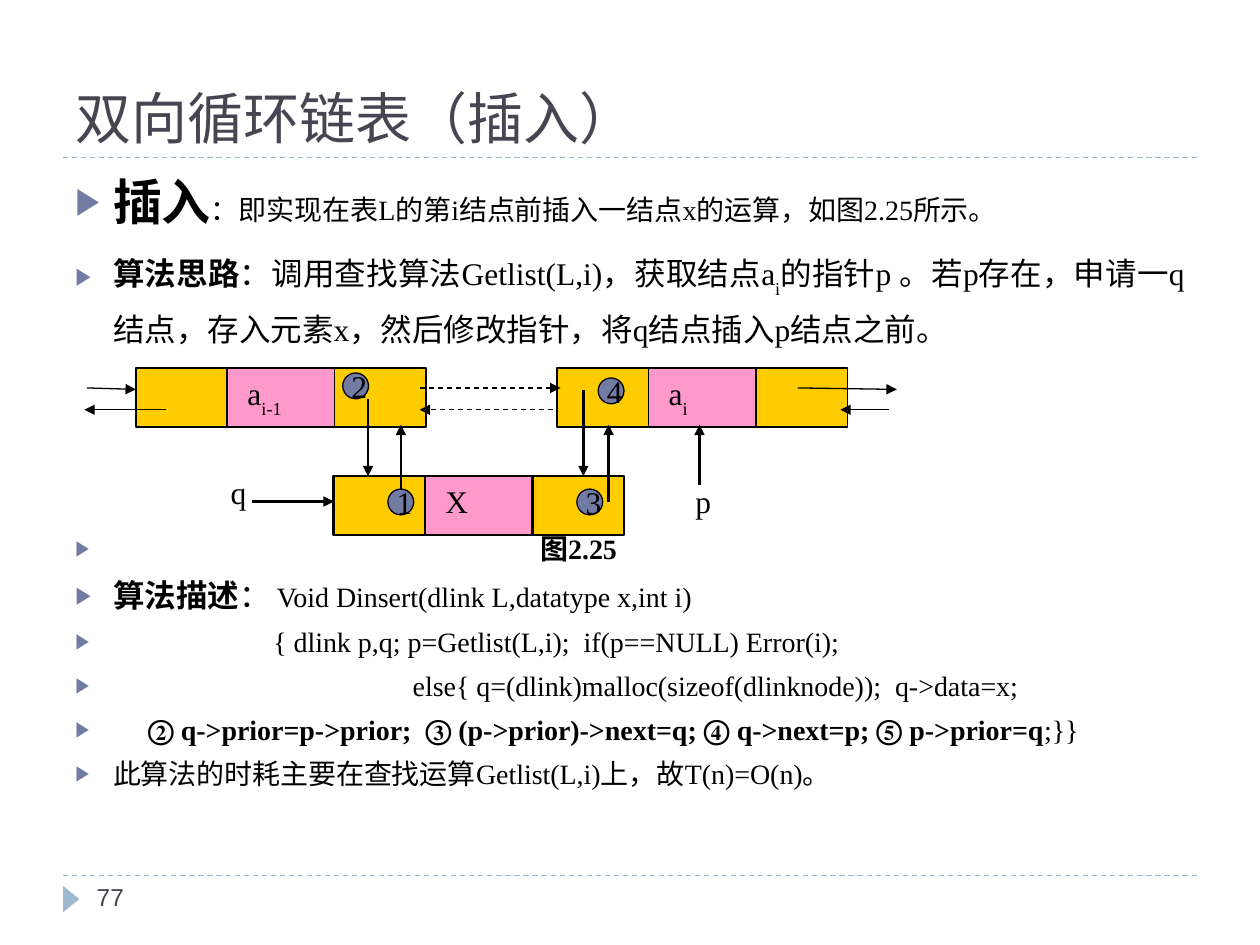
from dataclasses import dataclass

import pptx
import pptx.dml.color
import pptx.enum.dml
import pptx.enum.shapes
import pptx.enum.text
import pptx.oxml
import pptx.oxml.ns
import pptx.util

Cm, Pt = pptx.util.Cm, pptx.util.Pt
Shape = pptx.enum.shapes.MSO_SHAPE
Align = pptx.enum.text.PP_ALIGN
Anchor = pptx.enum.text.MSO_ANCHOR


@dataclass(frozen=True)
class Theme:
    ink: str = "000000"
    title: str = "464653"
    rule: str = "9FB8CD"
    accent: str = "727CA3"
    pointer: str = "FFCC00"
    data: str = "FF99CC"
    serif: str = "Times New Roman"
    sans: str = "Arial"
    title_size: int = 32
    lead_size: int = 28
    label_size: int = 18
    text_size: int = 16
    page_size: int = 14


@dataclass(frozen=True)
class Span:
    text: str
    size: int = 16
    bold: bool = False
    subscript: bool = False


@dataclass(frozen=True)
class Item:
    spans: tuple
    indent: float = 0.76
    spacing: float = 1.0
    justify: bool = True


@dataclass(frozen=True)
class Node:
    left: float
    top: float
    label: str
    index: str = ""
    weight: float = 0.75


@dataclass(frozen=True)
class Arrow:
    start: tuple
    end: tuple
    weight: float = 0.75
    dashed: bool = False


@dataclass(frozen=True)
class Step:
    left: float
    top: float
    number: str


THEME = Theme()
CELL_HEIGHT = 1.19
STEP_SIZE = 0.52

UPPER_ITEMS = (
    Item((Span("插入", THEME.lead_size, True),
          Span("：即实现在表L的第i结点前插入一结点x的运算，如图2.25所示。"))),
    Item((Span("算法思路", THEME.label_size, True),
          Span("：调用查找算法Getlist(L,i)，获取结点a", THEME.label_size),
          Span("i", THEME.label_size, subscript=True),
          Span("的指针p 。若p存在，申请一q结点，存入元素x，然后修改指针，将q结点插入p结点之前。",
               THEME.label_size)), spacing=1.3),
)
LOWER_ITEMS = (
    Item((Span("图2.25", bold=True),), indent=9.37, justify=False),
    Item((Span("算法描述", THEME.label_size, True), Span("：", THEME.label_size),
          Span(" Void Dinsert(dlink L,datatype x,int i)"))),
    Item((Span("{ dlink p,q; p=Getlist(L,i);  if(p==NULL) Error(i);"),), indent=3.99),
    Item((Span("else{ q=(dlink)malloc(sizeof(dlinknode));  q->data=x;"),), indent=6.8),
    Item((Span("② q->prior=p->prior;  ③ (p->prior)->next=q; ④ q->next=p; ⑤ p->prior=q",
               bold=True), Span(";}}")), indent=1.46),
    Item((Span("此算法的时耗主要在查找运算Getlist(L,i)上，故T(n)=O(n)。"),), justify=False),
)
NODES = (
    Node(2.74, 7.42, "a", "i-1"),
    Node(11.23, 7.42, "a", "i"),
    Node(6.73, 9.6, "X", weight=1.5),
)
ARROWS = (
    # Links of the existing list
    Arrow((1.75, 7.82), (2.74, 7.85)),
    Arrow((3.35, 8.26), (1.7, 8.26)),
    Arrow((17.93, 8.26), (16.94, 8.26)),
    Arrow((16.08, 7.82), (18.08, 7.85)),
    Arrow((11.15, 8.26), (8.46, 8.26), dashed=True),
    Arrow((8.46, 7.82), (11.3, 7.82), dashed=True),
    # Links made by the insertion
    Arrow((8.08, 10.11), (8.08, 8.56), 1.5),
    Arrow((12.27, 10.11), (12.27, 8.56), 1.5),
    Arrow((5.08, 10.11), (6.73, 10.11), 1.5),
    Arrow((14.1, 9.78), (14.1, 8.56), 1.5),
    Arrow((7.42, 8.05), (7.42, 9.6), 1.5),
    Arrow((11.76, 7.87), (11.76, 9.6), 1.5),
)
STEPS = (Step(12.06, 7.62, "4"), Step(6.91, 7.52, "2"),
         Step(7.82, 9.86, "1"), Step(11.63, 9.86, "3"))


def rgb(value: str) -> pptx.dml.color.RGBColor:
    return pptx.dml.color.RGBColor.from_string(value)


def add_span(para, text: str, *, size: int = THEME.label_size, bold: bool = False,
             subscript: bool = False, font: str = THEME.serif, color: str = THEME.ink) -> None:
    span = para.add_run()
    span.text = text
    span.font.name, span.font.size, span.font.bold = font, Pt(size), bold
    span.font.color.rgb = rgb(color)
    if subscript:
        span._r.get_or_add_rPr().set("baseline", "-30000")


def add_box(page, left: float, top: float, width: float, height: float):
    box = page.shapes.add_textbox(Cm(left), Cm(top), Cm(width), Cm(height))
    box.text_frame.word_wrap = True
    return box.text_frame


def add_shape(page, kind, left: float, top: float, width: float, height: float,
              fill: str, weight: float = 0):
    shape = page.shapes.add_shape(kind, Cm(left), Cm(top), Cm(width), Cm(height))
    shape.shadow.inherit = False
    shape.fill.solid()
    shape.fill.fore_color.rgb = rgb(fill)
    if weight:
        shape.line.color.rgb = rgb(THEME.ink)
        shape.line.width = Pt(weight)
    else:
        shape.line.fill.background()
    return shape


def add_line(page, arrow: Arrow, color: str = THEME.ink, head: bool = True) -> None:
    line = page.shapes.add_connector(pptx.enum.shapes.MSO_CONNECTOR.STRAIGHT,
                                     *map(Cm, arrow.start + arrow.end))
    line.line.color.rgb = rgb(color)
    line.line.width = Pt(arrow.weight)
    if arrow.dashed:
        line.line.dash_style = pptx.enum.dml.MSO_LINE.DASH
    properties = line._element.spPr
    if head:
        tail = pptx.oxml.parse_xml(f'<a:tailEnd {pptx.oxml.ns.nsdecls("a")} type="triangle"/>')
        line.line._get_or_add_ln().append(tail)
    properties.append(pptx.oxml.parse_xml(f'<a:effectLst {pptx.oxml.ns.nsdecls("a")}/>'))


def add_items(page, items: tuple, top: float, height: float) -> None:
    frame = add_box(page, 1.27, top, 22.86, height)
    for number, item in enumerate(items):
        para = frame.add_paragraph() if number else frame.paragraphs[0]
        properties = para._p.get_or_add_pPr()
        properties.set("marL", str(Cm(item.indent)))
        properties.set("indent", str(-Cm(item.indent)))
        for bullet in (f'buClr {{}}><a:srgbClr val="{THEME.accent}"/></a:buClr>',
                       'buSzPct {} val="76000"/>', 'buFont {} typeface="Arial"/>',
                       'buChar {} char="▶"/>'):
            xml = "<a:" + bullet.format(pptx.oxml.ns.nsdecls("a"))
            properties.append(pptx.oxml.parse_xml(xml))
        para.alignment = Align.JUSTIFY if item.justify else Align.LEFT
        para.line_spacing = item.spacing
        para.space_before = Pt(6 if number else 0)
        for span in item.spans:
            add_span(para, span.text, size=span.size, bold=span.bold, subscript=span.subscript)


def add_node(page, node: Node) -> None:
    left = node.left
    for width, fill in ((1.84, THEME.pointer), (2.17, THEME.data), (1.84, THEME.pointer)):
        cell = add_shape(page, Shape.RECTANGLE, left, node.top, width, CELL_HEIGHT, fill, node.weight)
        left += width
        if fill == THEME.data:
            frame = cell.text_frame
            frame.vertical_anchor, frame.margin_left = Anchor.TOP, Cm(0.41)
            para = frame.paragraphs[0]
            para.alignment = Align.LEFT
            add_span(para, node.label)
            if node.index:
                add_span(para, node.index, subscript=True)


def add_step(page, step: Step) -> None:
    disc = add_shape(page, Shape.OVAL, step.left, step.top, STEP_SIZE, STEP_SIZE, THEME.accent, 0.75)
    frame = disc.text_frame
    frame.word_wrap = False
    frame.margin_left, frame.margin_right, frame.margin_top, frame.margin_bottom = Cm(0.1), 0, 0, 0
    frame.vertical_anchor = Anchor.MIDDLE
    frame.paragraphs[0].alignment = Align.LEFT
    add_span(frame.paragraphs[0], step.number)


def main() -> None:
    deck = pptx.Presentation()
    deck.slide_width, deck.slide_height = Cm(25.4), Cm(19.05)
    page = deck.slides.add_slide(deck.slide_layouts[5])

    # Rules and page marker
    for top in (17.65, 3.18):
        add_line(page, Arrow((1.27, top), (24.13, top), dashed=True), THEME.rule, head=False)
    add_shape(page, Shape.ISOSCELES_TRIANGLE, 1.17, 17.96, 0.53, 0.33, THEME.rule).rotation = 90

    # Title
    title = page.shapes.title
    title.left, title.top, title.width, title.height = map(Cm, (1.27, 0.43, 22.86, 2.74))
    frame = title.text_frame
    frame.auto_size = pptx.enum.text.MSO_AUTO_SIZE.NONE
    frame.vertical_anchor = Anchor.BOTTOM
    frame.paragraphs[0].alignment = Align.LEFT
    add_span(frame.paragraphs[0], "双向循环链表（插入）", size=THEME.title_size,
             font=THEME.sans, color=THEME.title)

    # Text above and below the diagram
    add_items(page, UPPER_ITEMS, 3.33, 4)
    add_items(page, LOWER_ITEMS, 10.6, 6.4)

    # Linked-list diagram
    for node in NODES:
        add_node(page, node)
    for arrow in ARROWS:
        add_line(page, arrow)
    for step in STEPS:
        add_step(page, step)
    for left, top, name in ((4.4, 9.42, "q"), (13.77, 9.6, "p")):
        add_span(add_box(page, left, top, 0.84, 1.02).paragraphs[0], name)

    # Page number
    add_span(add_box(page, 1.7, 17.65, 5.51, 1.02).paragraphs[0], "77",
             size=THEME.page_size, font=THEME.sans, color=THEME.title)
    deck.save("out.pptx")


if __name__ == "__main__":
    main()
